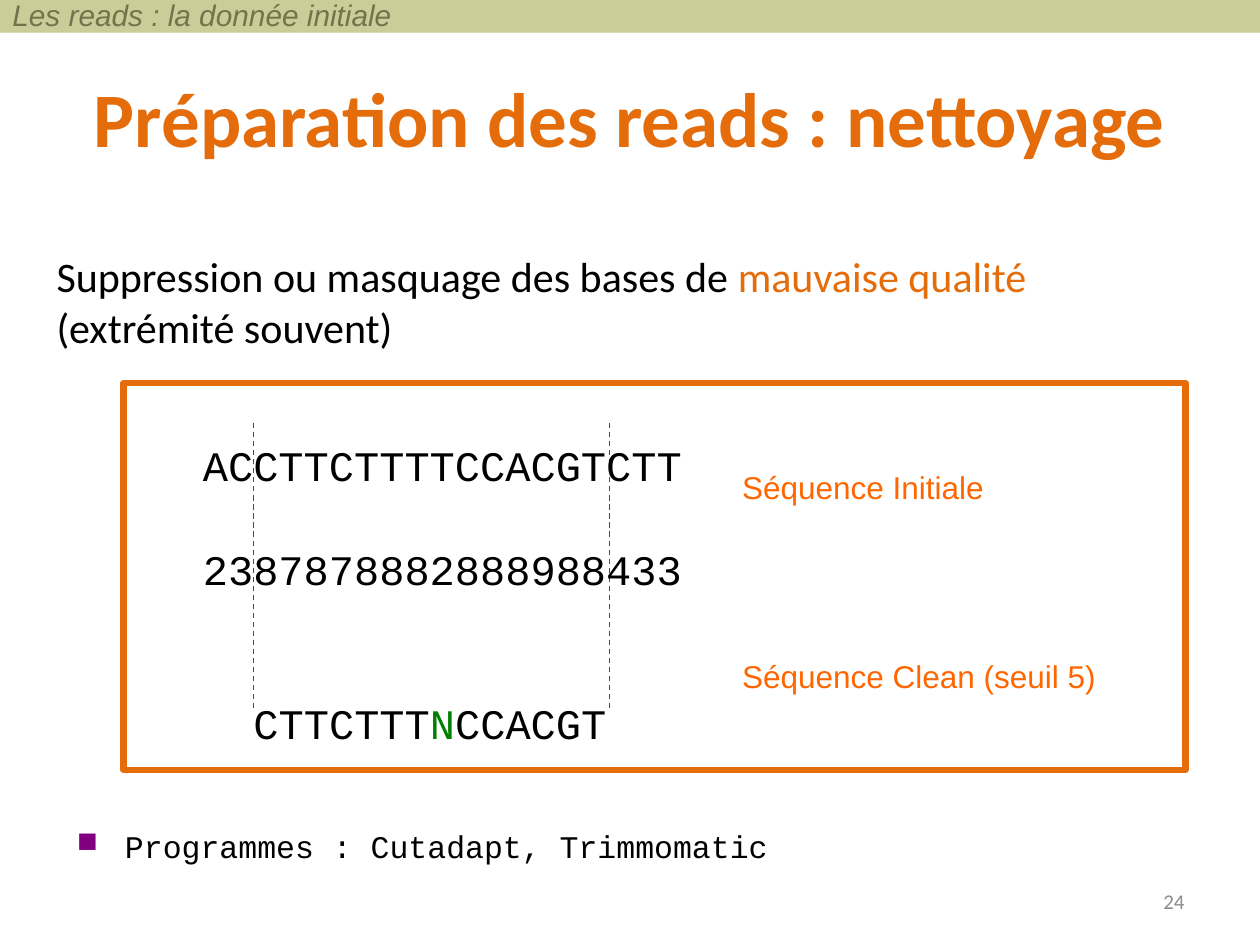
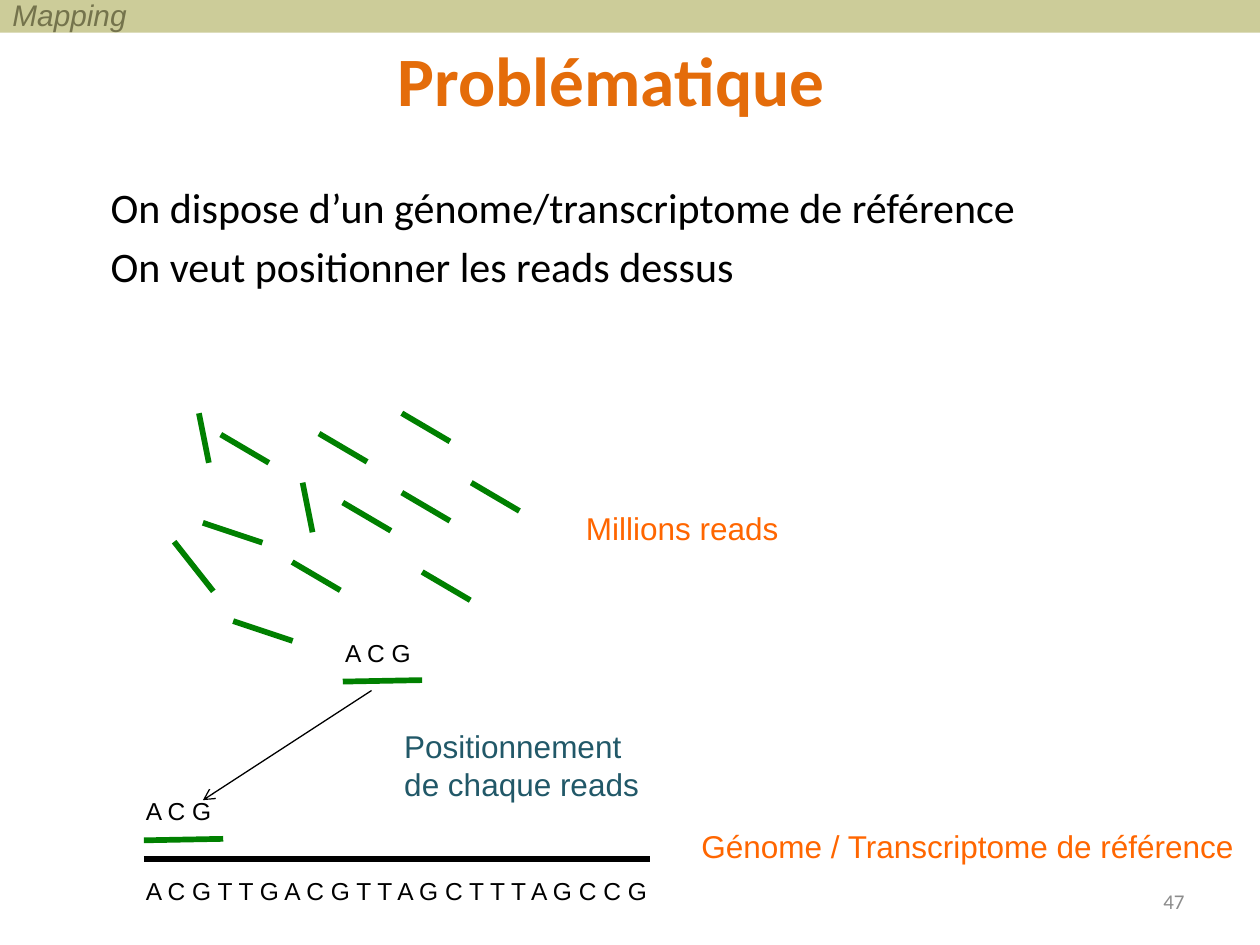
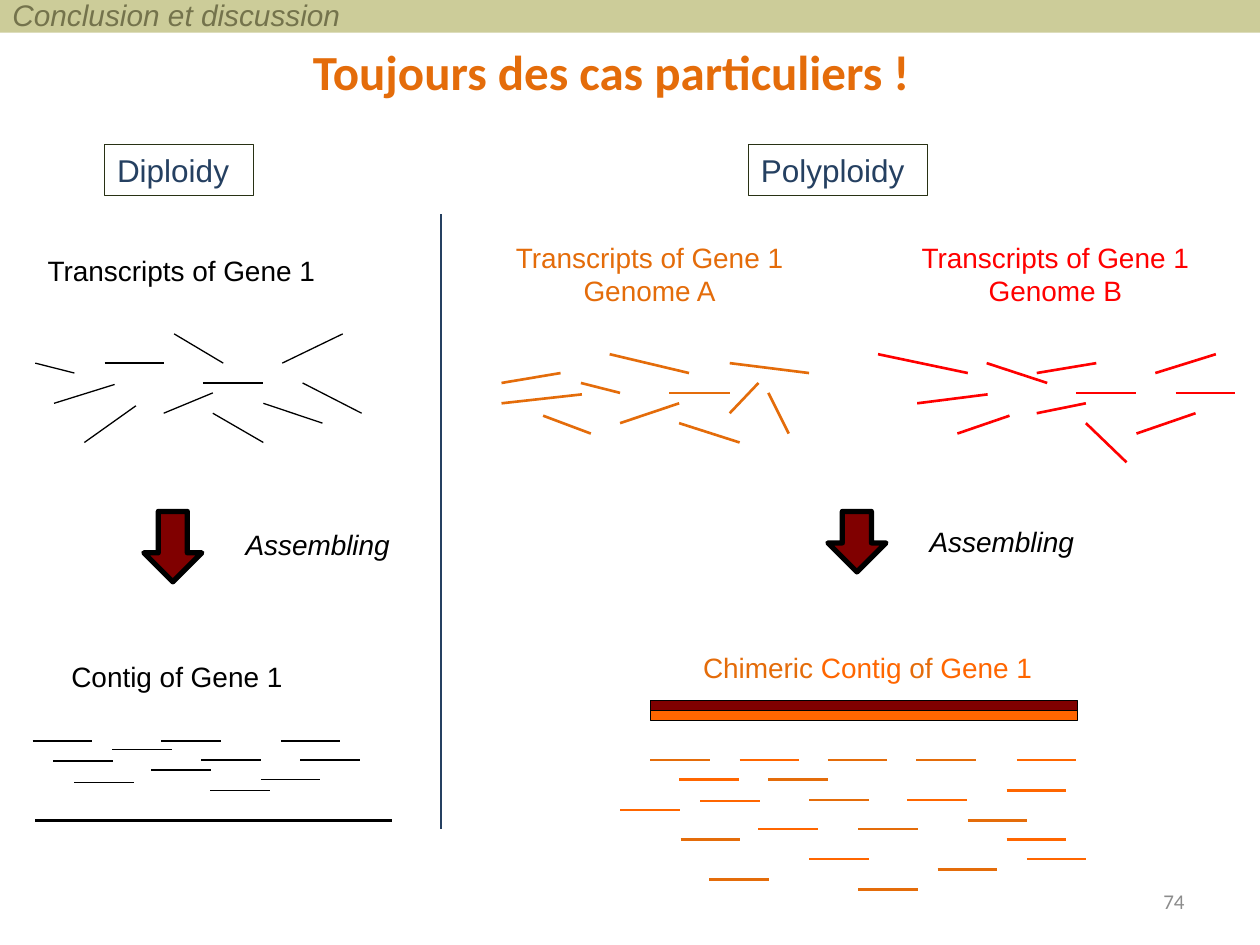
from dataclasses import dataclass, replace
from typing import NamedTuple, Optional, Union

from lxml import etree
from pptx import Presentation
from pptx.dml.color import RGBColor
from pptx.enum.dml import MSO_LINE
from pptx.enum.shapes import MSO_CONNECTOR, MSO_SHAPE
from pptx.enum.text import MSO_ANCHOR, MSO_AUTO_SIZE, PP_ALIGN
from pptx.oxml.ns import qn
from pptx.util import Cm, Pt

# Colours
BLACK = RGBColor(0x00, 0x00, 0x00)
BAND = RGBColor(0xCC, 0xCC, 0x99)
SECTION = RGBColor(0x74, 0x73, 0x4C)
GREY = RGBColor(0x8C, 0x8C, 0x8C)
TITLE_ORANGE = RGBColor(0xE4, 0x6C, 0x0A)
ORANGE = RGBColor(0xFF, 0x66, 0x00)
GREEN = RGBColor(0x00, 0x80, 0x00)
TEAL = RGBColor(0x21, 0x58, 0x68)
NAVY = RGBColor(0x25, 0x40, 0x61)
DARK_OLIVE = RGBColor(0x28, 0x31, 0x14)
RED = RGBColor(0xFF, 0x00, 0x00)
MAROON = RGBColor(0x80, 0x00, 0x00)
PURPLE = RGBColor(0x80, 0x00, 0x80)


# All lengths below are centimetres
class Box(NamedTuple):
    left: float
    top: float
    width: float
    height: float

    def lengths(self) -> list:
        return [Cm(value) for value in self]


class Segment(NamedTuple):
    x1: float
    y1: float
    x2: float
    y2: float


class Run(NamedTuple):
    text: str
    color: RGBColor


@dataclass(frozen=True)
class Style:
    size: float
    color: RGBColor = BLACK
    font: str = "Arial"
    bold: bool = False
    italic: bool = False
    align: PP_ALIGN = PP_ALIGN.LEFT
    anchor: MSO_ANCHOR = MSO_ANCHOR.TOP
    wrap: bool = True


@dataclass(frozen=True)
class Line:
    text: Union[str, list]
    space_before: float = 0
    indent: float = 0
    bullet: Optional[str] = None


@dataclass(frozen=True)
class Stroke:
    color: RGBColor
    width: float
    dashed: bool = False
    arrow: bool = False


TITLE = Style(44, TITLE_ORANGE, "Calibri", bold=True, align=PP_ALIGN.CENTER, anchor=MSO_ANCHOR.MIDDLE)
HEADER = Style(17, SECTION, italic=True, anchor=MSO_ANCHOR.MIDDLE)
NUMBER = Style(12, GREY, "Calibri", align=PP_ALIGN.RIGHT, anchor=MSO_ANCHOR.MIDDLE)
BODY = Style(24, font="Calibri")
CODE = Style(24, font="Courier New")
LABEL = Style(18, ORANGE)
BASES = Style(14, wrap=False)
CAPTION = Style(16, wrap=False)
CENTERED_CAPTION = replace(CAPTION, align=PP_ALIGN.CENTER)

BAND_BOX = Box(0, 0, 25.4, 0.66)
HEADER_BOX = Box(0, 0, 25.4, 0.61)
NUMBER_BOX = Box(18.21, 17.65, 5.92, 1.02)


# Drawing functions
def set_bullet(properties, character: str) -> None:
    color = etree.SubElement(properties, qn("a:buClr"))
    etree.SubElement(color, qn("a:srgbClr"), val=str(PURPLE))
    etree.SubElement(properties, qn("a:buSzPct"), val="90000")
    etree.SubElement(properties, qn("a:buChar"), char=character)


def write(shape, lines: list, style: Style) -> None:
    frame = shape.text_frame
    frame.word_wrap = style.wrap
    frame.auto_size = MSO_AUTO_SIZE.NONE
    frame.vertical_anchor = style.anchor
    for index, item in enumerate(lines):
        line = item if isinstance(item, Line) else Line(item)
        paragraph = frame.add_paragraph() if index else frame.paragraphs[0]
        paragraph.alignment = style.align
        if line.space_before:
            paragraph.space_before = Pt(line.space_before)
        if line.indent:
            properties = paragraph._p.get_or_add_pPr()
            properties.set("marL", str(Cm(line.indent)))
            if line.bullet:
                properties.set("indent", str(-Cm(line.indent)))
                set_bullet(properties, line.bullet)
        font = paragraph.font
        font.name, font.size = style.font, Pt(style.size)
        font.bold, font.italic = style.bold, style.italic
        font.color.rgb = style.color
        runs = [Run(line.text, style.color)] if isinstance(line.text, str) else line.text
        for part in runs:
            run = paragraph.add_run()
            run.text = part.text
            if part.color != style.color:
                run.font.color.rgb = part.color


def add_text(slide, box: Box, lines: list, style: Style):
    shape = slide.shapes.add_textbox(*box.lengths())
    write(shape, lines, style)
    return shape


def add_figure(slide, preset: MSO_SHAPE, box: Box, fill: Optional[RGBColor] = None,
               stroke: Optional[Stroke] = None):
    shape = slide.shapes.add_shape(preset, *box.lengths())
    shape.shadow.inherit = False
    if fill is None:
        shape.fill.background()
    else:
        shape.fill.solid()
        shape.fill.fore_color.rgb = fill
    if stroke is None:
        shape.line.fill.background()
    else:
        shape.line.color.rgb = stroke.color
        shape.line.width = Pt(stroke.width)
    return shape


def add_lines(slide, segments: list, stroke: Stroke) -> None:
    for segment in segments:
        connector = slide.shapes.add_connector(
            MSO_CONNECTOR.STRAIGHT, *(Cm(value) for value in segment))
        connector.line.color.rgb = stroke.color
        connector.line.width = Pt(stroke.width)
        if stroke.dashed:
            connector.line.dash_style = MSO_LINE.DASH
        properties = connector._element.spPr
        if stroke.arrow:
            etree.SubElement(properties.find(qn("a:ln")), qn("a:tailEnd"), type="arrow")
        etree.SubElement(properties, qn("a:effectLst"))


def shifted(starts: list, dx: float, dy: float = 0) -> list:
    """Parallel segments of equal length, one from each start."""
    return [Segment(x, y, x + dx, y + dy) for x, y in starts]


def add_slide(presentation, section: str, number: int, title: str, box: Box, style: Style):
    slide = presentation.slides.add_slide(presentation.slide_layouts[5])
    add_figure(slide, MSO_SHAPE.RECTANGLE, BAND_BOX, BAND)
    placeholder = slide.shapes.title
    placeholder.left, placeholder.top, placeholder.width, placeholder.height = box.lengths()
    write(placeholder, [title], style)
    add_text(slide, NUMBER_BOX, [str(number)], NUMBER)
    add_text(slide, HEADER_BOX, [section], HEADER)
    return slide


# Slide: read cleaning
def build_cleaning(presentation) -> None:
    slide = add_slide(presentation, "Les reads : la donnée initiale", 24,
                      "Préparation des reads : nettoyage", Box(1.27, 0.76, 22.86, 3.18), TITLE)
    add_text(slide, Box(0.89, 4.93, 21.59, 2.39), [[
        Run("Suppression ou masquage des bases de ", BLACK),
        Run("mauvaise qualité ", TITLE_ORANGE),
        Run("(extrémité souvent)", BLACK)]], BODY)

    add_text(slide, Box(14.71, 9.32, 5.99, 1.02), ["Séquence Initiale"], LABEL)
    add_text(slide, Box(14.71, 13.13, 9.19, 1.02), ["Séquence Clean (seuil 5)"], LABEL)
    add_lines(slide, shifted([(5.11, 8.53), (12.29, 8.53)], 0, 5.8), Stroke(GREEN, 0.75, dashed=True))

    add_text(slide, Box(1.3, 16.54, 19.41, 1.6),
             [Line("Programmes : Cutadapt, Trimmomatic", indent=0.97, bullet="■")],
             replace(CODE, size=18))
    sequences = add_text(slide, Box(1.3, 8.74, 12.7, 5.99), [
        "ACCTTCTTTTCCACGTCTT",
        Line("2387878882888988433", space_before=30.4),
        Line([Run("CTTCTTT", BLACK), Run("N", GREEN), Run("CCACGT", BLACK)],
             space_before=59.2, indent=1.02)], CODE)
    sequences.text_frame.margin_left = Cm(2.79)
    sequences.text_frame.margin_right = 0
    add_figure(slide, MSO_SHAPE.RECTANGLE, Box(2.49, 7.72, 21.41, 7.8),
               stroke=Stroke(TITLE_ORANGE, 3.5))


# Slide: mapping problem
def build_mapping(presentation) -> None:
    slide = add_slide(presentation, "Mapping", 47, "Problématique", Box(0.89, 0.74, 22.86, 2.36),
                      replace(TITLE, size=39.6, anchor=MSO_ANCHOR.TOP))
    slide.shapes.title.text_frame.margin_top = 0
    add_text(slide, Box(0.71, 3.53, 21.59, 3.61), [
        Line("On dispose d’un génome/transcriptome de référence", indent=1.27),
        Line("On veut positionner les reads dessus", space_before=4.8, indent=1.27)], BODY)

    # Reads, grouped by direction
    slanted = [(4.45, 8.76), (6.43, 8.74), (5.89, 11.33), (6.91, 10.13),
               (8.1, 8.33), (8.1, 9.93), (8.51, 11.53), (9.5, 9.73)]
    reads = (shifted(slanted, 0.97, 0.57)
             + shifted([(4.01, 8.33), (6.1, 9.73)], 0.2, 1)
             + shifted([(4.09, 10.54), (4.7, 12.52)], 1.2, 0.4)
             + shifted([(3.51, 10.92)], 0.79, 1)
             + shifted([(6.91, 13.74), (2.9, 16.94)], 1.6, -0.03))
    add_lines(slide, reads, Stroke(GREEN, 3.25))
    add_lines(slide, [Segment(2.9, 17.32, 13.11, 17.32)], Stroke(BLACK, 3.25))
    add_lines(slide, [Segment(7.49, 13.92, 4.09, 16.13)], Stroke(BLACK, 0.75, arrow=True))

    # Labels
    unwrapped = replace(LABEL, wrap=False)
    add_text(slide, Box(13.89, 16.54, 11.35, 1.02), ["Génome / Transcriptome de référence"], unwrapped)
    add_text(slide, Box(11.53, 10.13, 4.45, 1.02), ["Millions reads"],
             replace(unwrapped, align=PP_ALIGN.CENTER))
    add_text(slide, Box(7.9, 14.53, 5.41, 1.8), ["Positionnement de chaque reads"],
             replace(LABEL, color=TEAL))
    add_text(slide, Box(2.69, 17.53, 10.69, 0.86),
             ["A C G T T G A C G T T A G C T T T A G C C G"], BASES)
    for left, top in [(6.71, 12.73), (2.69, 15.93)]:
        add_text(slide, Box(left, top, 1.85, 0.86), ["A C G"], BASES)


# Slide: ploidy cases
DIPLOID_TRANSCRIPTS = [
    Segment(0.71, 7.32, 1.5, 7.52), Segment(1.09, 8.13, 2.31, 7.75),
    Segment(1.7, 8.92, 2.74, 8.18), Segment(5.69, 7.32, 6.91, 6.73),
    Segment(2.11, 7.32, 3.3, 7.32), Segment(4.09, 7.72, 5.31, 7.72),
    Segment(3.3, 8.33, 4.29, 7.92), Segment(3.51, 6.73, 4.5, 7.32),
    Segment(5.31, 8.13, 6.5, 8.53), Segment(6.1, 7.72, 7.29, 8.33),
    Segment(4.29, 8.33, 5.31, 8.92),
]
GENOME_A_TRANSCRIPTS = [
    Segment(10.11, 7.72, 11.3, 7.52), Segment(10.11, 8.13, 11.73, 7.95),
    Segment(10.95, 8.38, 11.91, 8.74), Segment(14.71, 7.32, 16.31, 7.52),
    Segment(11.71, 7.72, 12.5, 7.92), Segment(13.49, 7.92, 14.71, 7.92),
    Segment(12.5, 8.53, 13.69, 8.13), Segment(12.29, 7.14, 13.89, 7.52),
    Segment(14.71, 8.33, 15.29, 7.72), Segment(15.49, 7.92, 15.9, 8.74),
    Segment(13.69, 8.53, 14.91, 8.92),
]
GENOME_B_TRANSCRIPTS = [
    Segment(17.7, 7.14, 19.51, 7.52), Segment(18.49, 8.13, 19.91, 7.95),
    Segment(19.3, 8.74, 20.35, 8.38), Segment(23.29, 7.52, 24.51, 7.14),
    Segment(19.89, 7.32, 21.11, 7.72), Segment(21.69, 7.92, 22.91, 7.92),
    Segment(20.9, 8.33, 21.89, 8.13), Segment(20.9, 7.52, 22.1, 7.32),
    Segment(22.91, 8.74, 24.1, 8.33), Segment(23.7, 7.92, 24.89, 7.92),
    Segment(21.89, 8.53, 22.71, 9.32),
]
DIPLOID_ALIGNED = [
    (0.66, 14.94), (1.07, 15.34), (1.5, 15.77), (5.66, 14.94), (2.26, 15.11), (4.06, 15.32),
    (3.05, 15.52), (3.25, 14.94), (5.26, 15.72), (6.05, 15.32), (4.24, 15.93),
]
GENOME_A_ALIGNED = [
    (13.11, 15.32), (18.47, 15.32), (19.51, 16.54), (16.69, 15.32), (17.3, 17.93), (14.3, 17.73),
    (18.9, 17.53), (13.72, 16.92), (16.31, 16.13), (15.49, 15.72), (17.3, 16.71),
]
GENOME_B_ALIGNED = [
    (14.91, 15.32), (13.69, 15.72), (14.12, 16.15), (20.29, 16.92), (18.29, 16.13), (12.5, 16.33),
    (20.29, 15.93), (20.5, 15.32), (15.29, 16.71), (20.7, 17.32), (16.31, 17.32),
]
ALIGNED_LENGTH = 1.2


def build_ploidy(presentation) -> None:
    slide = add_slide(presentation, "Conclusion et discussion", 74, "Toujours des cas particuliers !",
                      Box(0.89, 0.53, 22.86, 1.8), replace(TITLE, size=28))

    # Column headings and divider
    for name, left, width in [("Diploidy", 2.11, 3), ("Polyploidy", 15.09, 3.61)]:
        heading = add_figure(slide, MSO_SHAPE.RECTANGLE, Box(left, 2.92, width, 1.02),
                             stroke=Stroke(DARK_OLIVE, 0.75))
        write(heading, [name], replace(LABEL, color=NAVY))
    add_lines(slide, [Segment(8.89, 4.32, 8.89, 16.71)], Stroke(NAVY, 1.25))

    # Transcripts
    add_text(slide, Box(0.71, 4.98, 5.97, 0.94), ["Transcripts of Gene 1"], CAPTION)
    for genome, left, color in [("Genome A", 10.11, TITLE_ORANGE), ("Genome B", 18.29, RED)]:
        add_text(slide, Box(left, 4.72, 5.97, 1.63), ["Transcripts of Gene 1", genome],
                 replace(CENTERED_CAPTION, color=color))
    thin = Stroke(BLACK, 0.75)
    genome_a, genome_b = Stroke(TITLE_ORANGE, 1.5), Stroke(ORANGE, 1.5)
    add_lines(slide, DIPLOID_TRANSCRIPTS, thin)
    add_lines(slide, GENOME_A_TRANSCRIPTS, genome_a)
    add_lines(slide, GENOME_B_TRANSCRIPTS, Stroke(RED, 1.5))

    # Assembling steps
    for left, height, text_top in [(2.9, 1.42, 10.52), (16.69, 1.22, 10.45)]:
        add_figure(slide, MSO_SHAPE.DOWN_ARROW, Box(left, 10.31, 1.17, height), MAROON, Stroke(BLACK, 3))
        add_text(slide, Box(left + 1.8, text_top, 3.61, 0.94), ["Assembling"],
                 replace(CAPTION, italic=True))

    # Contigs
    add_text(slide, Box(1.19, 13.18, 4.83, 0.94), ["Contig of Gene 1"], CAPTION)
    add_text(slide, Box(13.87, 12.98, 7.24, 0.94), [[
        Run("Chimeric ", TITLE_ORANGE), Run("Contig", ORANGE),
        Run(" of ", TITLE_ORANGE), Run("Gene 1", ORANGE)]],
        replace(CENTERED_CAPTION, color=TITLE_ORANGE))
    for row, fill in enumerate([MAROON, ORANGE]):
        add_figure(slide, MSO_SHAPE.RECTANGLE, Box(13.11, 14.12 + 0.2 * row, 8.61, 0.2), fill, thin)
    add_lines(slide, shifted(DIPLOID_ALIGNED, ALIGNED_LENGTH), thin)
    add_lines(slide, shifted(GENOME_A_ALIGNED, ALIGNED_LENGTH), genome_a)
    add_lines(slide, shifted(GENOME_B_ALIGNED, ALIGNED_LENGTH), genome_b)
    add_lines(slide, [Segment(0.71, 16.54, 7.9, 16.54)], Stroke(BLACK, 2))


def main() -> None:
    presentation = Presentation()
    presentation.slide_width, presentation.slide_height = Cm(25.4), Cm(19.05)
    build_cleaning(presentation)
    build_mapping(presentation)
    build_ploidy(presentation)
    presentation.save("out.pptx")


if __name__ == "__main__":
    main()
